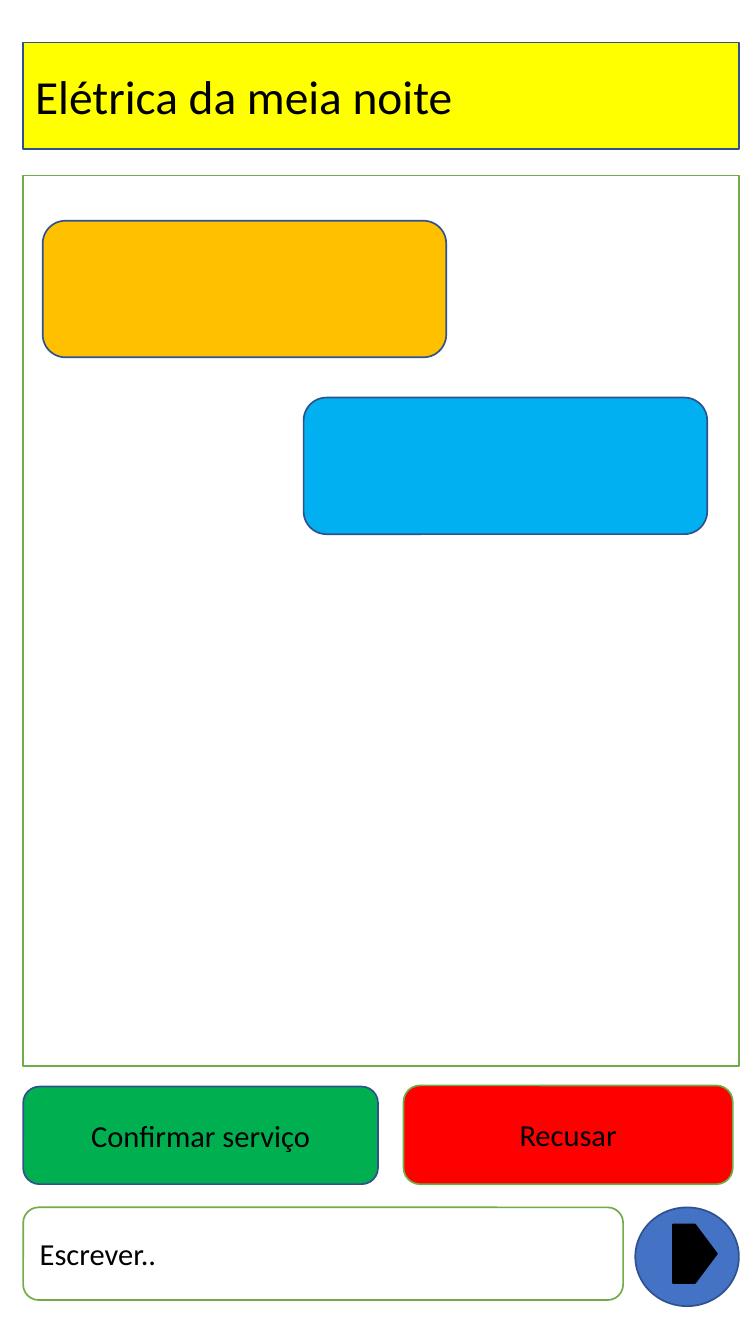
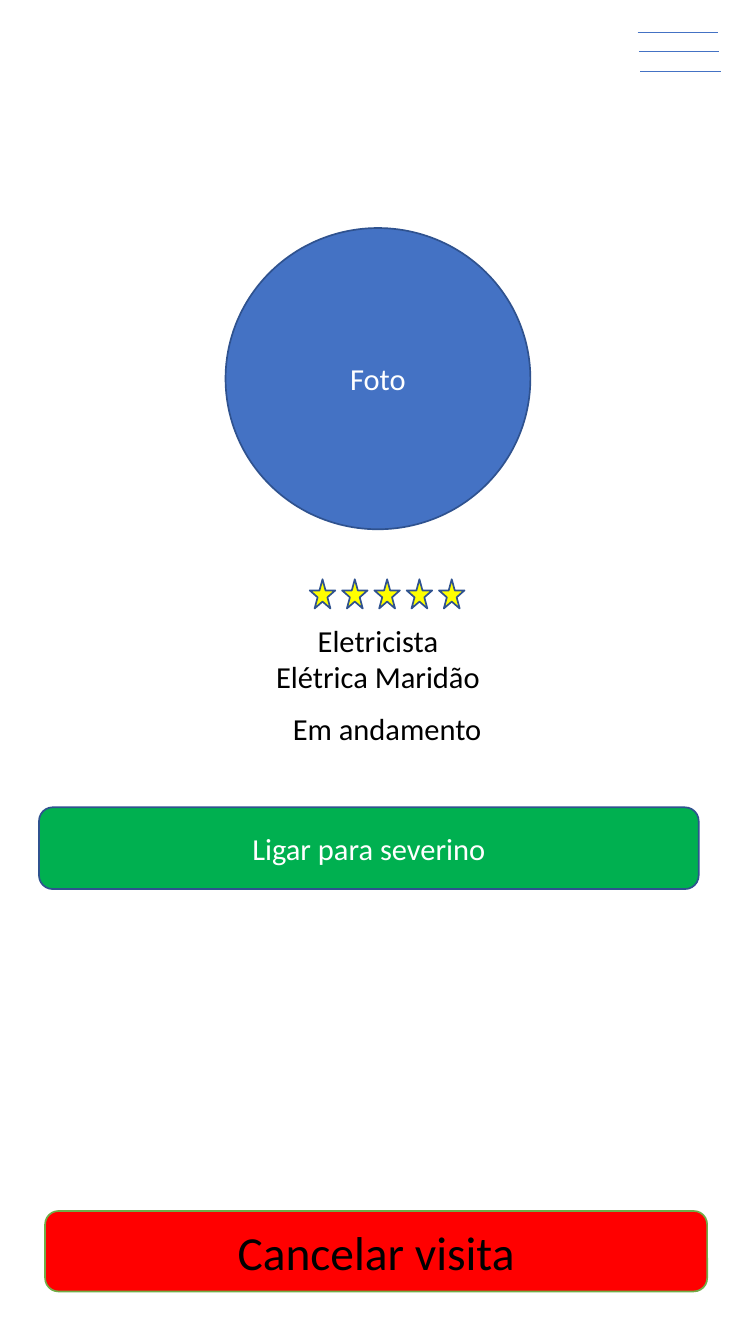
import pptx
import pptx.dml.color
import pptx.enum.shapes
import pptx.enum.text
import pptx.oxml.ns
import pptx.util
from lxml import etree

Inches = pptx.util.Inches
Pt = pptx.util.Pt
SHAPE = pptx.enum.shapes.MSO_SHAPE
ALIGN = pptx.enum.text.PP_ALIGN
ANCHOR = pptx.enum.text.MSO_ANCHOR

# Shared style
FONT = "Calibri"
BODY_SIZE, TITLE_SIZE = 18, 28
BLACK, WHITE = "000000", "FFFFFF"
BLUE, NAVY, SKY = "4472C4", "2F528F", "00B0F0"
YELLOW, AMBER = "FFFF00", "FFC000"
GREEN, LEAF, RED = "00B050", "70AD47", "FF0000"
MARGIN = 0.19
PANEL_WIDTH = 5.87


def rgb(value):
    return pptx.dml.color.RGBColor.from_string(value)


def write(frame, lines, size, color, align):
    frame.word_wrap = True
    frame.text = "\n".join(lines)
    for paragraph in frame.paragraphs:
        paragraph.alignment = align
        paragraph.font.name = FONT
        paragraph.font.size = Pt(size)
        paragraph.font.color.rgb = rgb(color)


def add_box(slide, kind, box, fill, line=NAVY, text="", size=BODY_SIZE,
            color=BLACK, align=ALIGN.CENTER):
    shape = slide.shapes.add_shape(kind, *map(Inches, box))
    shape.shadow.inherit = False
    shape.fill.solid()
    shape.fill.fore_color.rgb = rgb(fill)
    shape.line.color.rgb = rgb(line)
    shape.line.width = Pt(1)
    if text:
        shape.text_frame.vertical_anchor = ANCHOR.MIDDLE
        write(shape.text_frame, [text], size, color, align)


def add_label(slide, box, *lines):
    label = slide.shapes.add_textbox(*map(Inches, box))
    write(label.text_frame, lines, BODY_SIZE, BLACK, ALIGN.CENTER)


def add_rule(slide, left, top, width):
    rule = slide.shapes.add_connector(
        pptx.enum.shapes.MSO_CONNECTOR.STRAIGHT,
        Inches(left), Inches(top), Inches(left + width), Inches(top))
    rule.line.color.rgb = rgb(BLUE)
    rule.line.width = Pt(0.5)
    etree.SubElement(rule._element.spPr, pptx.oxml.ns.qn("a:effectLst"))


def build_chat(slide):
    # Header and conversation panel
    add_box(slide, SHAPE.RECTANGLE, (MARGIN, 0.35, PANEL_WIDTH, 0.87), YELLOW,
            text="Elétrica da meia noite", size=TITLE_SIZE, align=ALIGN.LEFT)
    add_box(slide, SHAPE.RECTANGLE, (MARGIN, 1.44, PANEL_WIDTH, 7.3), WHITE, LEAF)

    # Message bubbles
    for left, top, fill in ((0.35, 1.81, AMBER), (2.49, 3.26, SKY)):
        add_box(slide, SHAPE.ROUNDED_RECTANGLE, (left, top, 3.31, 1.12), fill)

    # Message field and send button
    add_box(slide, SHAPE.ROUNDED_RECTANGLE, (MARGIN, 9.9, 4.92, 0.76), WHITE, LEAF,
            text="Escrever..", align=ALIGN.LEFT)
    add_box(slide, SHAPE.OVAL, (5.21, 9.9, 0.85, 0.81), BLUE)
    add_box(slide, SHAPE.PENTAGON, (5.52, 10.04, 0.36, 0.48), BLACK, BLACK)

    # Answer buttons
    add_box(slide, SHAPE.ROUNDED_RECTANGLE, (MARGIN, 8.91, 2.91, 0.8), GREEN,
            text="Confirmar serviço")
    add_box(slide, SHAPE.ROUNDED_RECTANGLE, (3.31, 8.9, 2.7, 0.81), RED, LEAF,
            text="Recusar")


def build_visit(slide):
    # Menu icon
    for step, top in enumerate((0.27, 0.42, 0.59)):
        add_rule(slide, 5.23 + 0.01 * step, top, 0.66)

    # Profile photo and rating
    add_box(slide, SHAPE.OVAL, (1.85, 1.87, 2.5, 2.47), BLUE,
            text="Foto", color=WHITE)
    first_star, last_star, stars = 2.54, 3.6, 5
    pitch = (last_star - first_star) / (stars - 1)
    for star in range(stars):
        add_box(slide, SHAPE.STAR_5_POINT,
                (first_star + star * pitch, 4.75, 0.21, 0.24), YELLOW)

    # Trade, company and status
    add_label(slide, (1.47, 5.05, 3.26, 0.71), "Eletricista", "Elétrica Maridão")
    add_label(slide, (0.38, 5.77, 5.59, 0.4), "Em andamento")

    # Action buttons
    add_box(slide, SHAPE.ROUNDED_RECTANGLE, (0.32, 6.62, 5.41, 0.67), GREEN,
            text="Ligar para severino", color=WHITE)
    add_box(slide, SHAPE.ROUNDED_RECTANGLE, (0.37, 9.93, 5.43, 0.66), RED, LEAF,
            text="Cancelar visita", size=TITLE_SIZE)


def main():
    deck = pptx.Presentation()
    deck.slide_width = Inches(6.2)
    deck.slide_height = Inches(11.02)
    for build in (build_chat, build_visit):
        build(deck.slides.add_slide(deck.slide_layouts[6]))
    deck.save("out.pptx")


if __name__ == "__main__":
    main()
